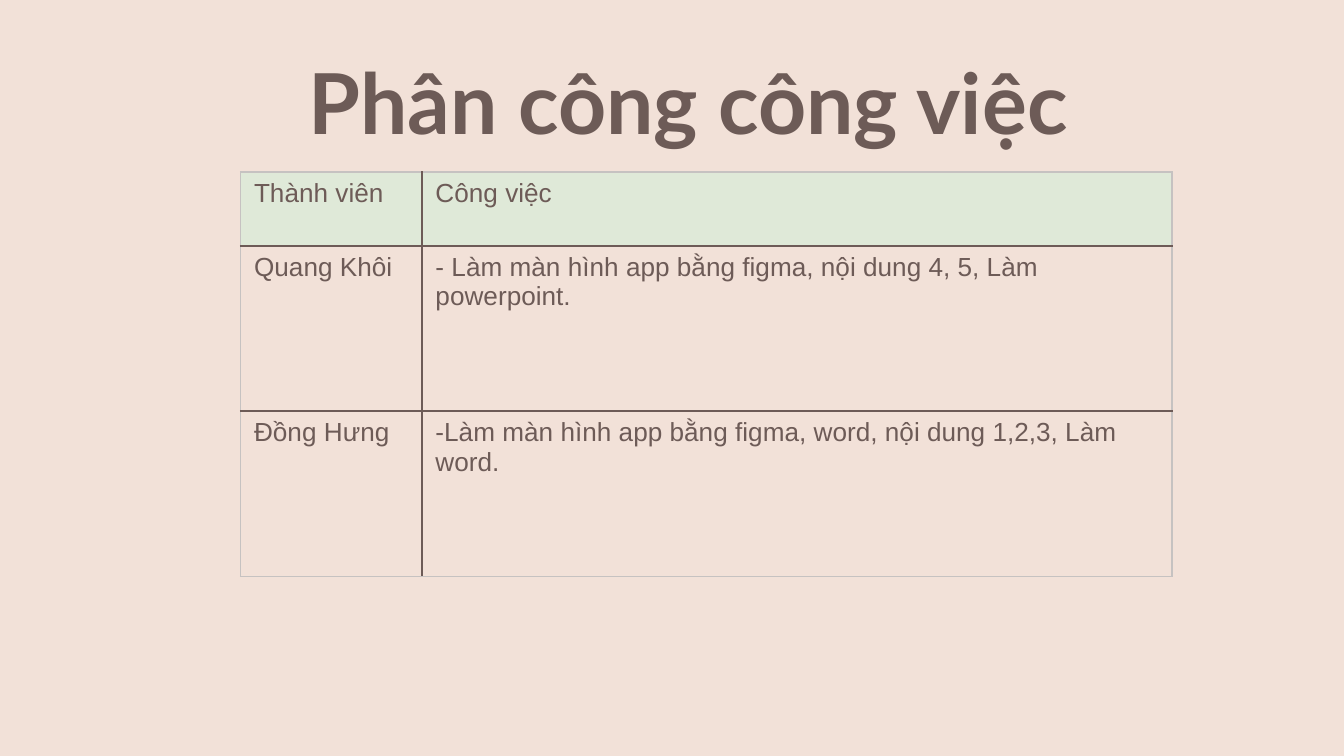
from lxml import etree
from pptx import Presentation
from pptx.dml.color import RGBColor
from pptx.enum.text import MSO_ANCHOR, PP_ALIGN
from pptx.oxml.ns import qn
from pptx.util import Inches, Pt

BROWN, GREY = "6D5B57", "C6C2C1"
CREAM, GREEN = "F2E1D8", "DFE9D8"
ROWS = [
    ("Thành viên", "Công việc"),
    ("Quang Khôi", "- Làm màn hình app bằng figma, nội dung 4, 5, Làm powerpoint."),
    ("Đồng Hưng", "-Làm màn hình app bằng figma, word, nội dung 1,2,3, Làm word."),
]


def color(hex_text):
    return RGBColor.from_string(hex_text)


def write(frame, text, size=14, font="Arial", bold=False, align=PP_ALIGN.LEFT):
    frame.word_wrap = True
    para = frame.paragraphs[0]
    para.alignment = align
    span = para.add_run()
    span.text = text
    span.font.size, span.font.name, span.font.bold = Pt(size), font, bold
    span.font.color.rgb = color(BROWN)


def set_borders(cell, sides, width=1):
    """Draw the four sides, given as (tag, colour) in left, right, top, bottom order."""
    props = cell._tc.get_or_add_tcPr()
    for index, (tag, hex_text) in enumerate(sides):
        line = etree.Element(qn(f"a:{tag}"), w=str(Pt(width)))
        fill = etree.SubElement(line, qn("a:solidFill"))
        etree.SubElement(fill, qn("a:srgbClr"), val=hex_text)
        props.insert(index, line)


def add_title(page, text, left, top, width, height):
    title = page.shapes.title
    title.left, title.top = Inches(left), Inches(top)
    title.width, title.height = Inches(width), Inches(height)
    frame = title.text_frame
    frame.margin_left = frame.margin_right = Inches(0.1)
    frame.margin_top = frame.margin_bottom = Inches(0.1)
    frame.vertical_anchor = MSO_ANCHOR.MIDDLE
    write(frame, text, size=45, font="Lato", bold=True, align=PP_ALIGN.CENTER)


def add_task_table(page, rows, left, top, widths, heights):
    last_row, last_col = len(heights) - 1, len(widths) - 1
    table = page.shapes.add_table(
        len(heights), len(widths), Inches(left), Inches(top),
        Inches(sum(widths)), Inches(sum(heights))).table
    table.horz_banding = False
    for column, width in zip(table.columns, widths):
        column.width = Inches(width)
    for r, texts in enumerate(rows):
        table.rows[r].height = Inches(heights[r])
        for c, text in enumerate(texts):
            cell = table.cell(r, c)
            write(cell.text_frame, text)
            # Green header, clear body
            if r == 0:
                cell.fill.solid()
                cell.fill.fore_color.rgb = color(GREEN)
            else:
                cell.fill.background()
            # Grey outer frame, brown inner lines
            outer = {"lnL": c == 0, "lnR": c == last_col,
                     "lnT": r == 0, "lnB": r == last_row}
            set_borders(cell, [(tag, GREY if edge else BROWN)
                               for tag, edge in outer.items()])


def main():
    deck = Presentation()
    # Widescreen, 16:9
    deck.slide_width, deck.slide_height = Inches(10), Inches(10 * 9 / 16)
    page = deck.slides.add_slide(deck.slide_layouts[5])
    page.background.fill.solid()
    page.background.fill.fore_color.rgb = color(CREAM)
    add_title(page, "Phân công công việc", 1.81, 0.28, 6.62, 0.94)
    add_task_table(page, ROWS, 1.79, 1.28, widths=[1.35, 5.58],
                   heights=[0.55, 1.23, 1.23])
    deck.save("out.pptx")


if __name__ == "__main__":
    main()
